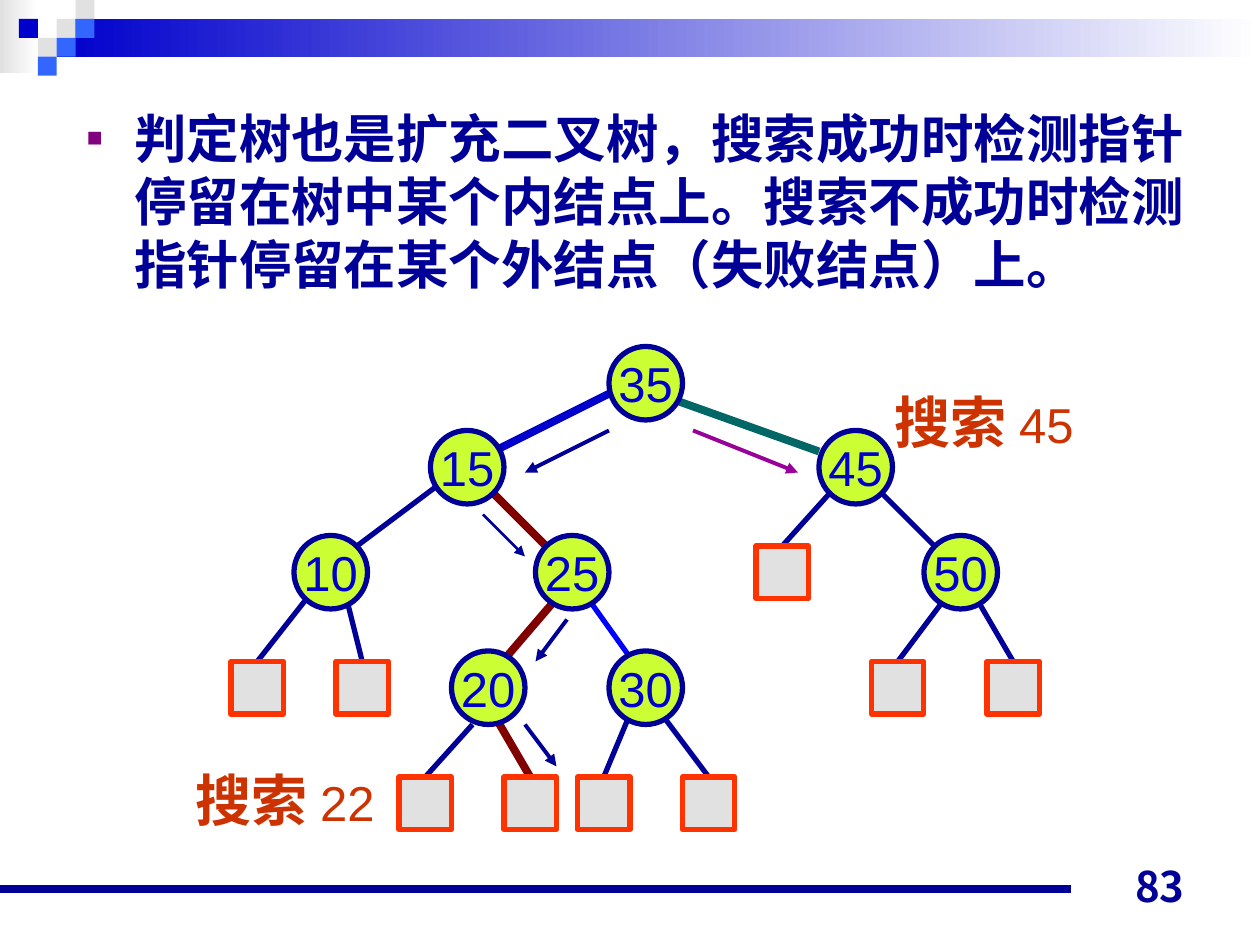
import pptx
import pptx.dml.color
import pptx.enum.shapes
import pptx.enum.text
import pptx.oxml
import pptx.oxml.ns
import pptx.util

Pt = pptx.util.Pt
Shape = pptx.enum.shapes.MSO_SHAPE
Align = pptx.enum.text.PP_ALIGN
Anchor = pptx.enum.text.MSO_ANCHOR
Size = pptx.enum.text.MSO_AUTO_SIZE
UNIT = 6
TILE = 10.8
NAVY, BLUE, GREY, RED = "000099", "0000CC", "E1E1E1", "800000"
BODY = {"size": Pt(30), "name": "Arial", "bold": True}
DIGIT = {"size": Pt(28), "name": "Arial", "bold": False}
WORD = {"size": Pt(32), "name": "Times New Roman", "bold": True}
PAGE = {"size": Pt(24), "name": "Noto Sans CJK JP", "bold": True}


def tint(code):
    return pptx.dml.color.RGBColor.from_string(code)


def node(tag, kids="", **attrs):
    pairs = "".join(f' {key}="{val}"' for key, val in attrs.items())
    space = pptx.oxml.ns.nsdecls("a")
    return pptx.oxml.parse_xml(f"<a:{tag} {space}{pairs}>{kids}</a:{tag}>")


class Sketch:
    """Draws styled elements on the current slide."""

    def __init__(self, slide):
        self.shapes = slide.shapes

    def block(self, kind, x, y, w, h, fill, line=None):
        shape = self.shapes.add_shape(kind, Pt(x), Pt(y), Pt(w), Pt(h))
        shape.shadow.inherit = False
        shape.fill.solid()
        shape.fill.fore_color.rgb = tint(fill)
        if line:
            shape.line.color.rgb = tint(line)
            shape.line.width = Pt(3)
        else:
            shape.line.fill.background()
        return shape

    def fade(self, x, y, w, h, left):
        fill = self.block(Shape.RECTANGLE, x, y, w, h, left).fill
        fill.gradient()
        fill.gradient_angle = 180
        for stop, code in zip(fill.gradient_stops, ("FFFFFF", left)):
            stop.color.rgb = tint(code)

    def line(self, start, end, color=NAVY, width=3, arrow=False):
        kind = pptx.enum.shapes.MSO_CONNECTOR.STRAIGHT
        line = self.shapes.add_connector(kind, *(Pt(v) for v in (*start, *end)))
        line.line.color.rgb = tint(color)
        line.line.width = Pt(width)
        props = line._element.spPr
        if arrow:
            props.find(pptx.oxml.ns.qn("a:ln")).append(node("tailEnd", type="triangle"))
        props.append(node("effectLst"))
        return line

    def label(self, frame, runs, color, align=Align.LEFT, **form):
        for key, val in form.items():
            setattr(frame, key, val)
        para = frame.paragraphs[0]
        para.alignment = align
        for text, look in runs:
            run = para.add_run()
            run.text = text
            run.font.color.rgb = tint(color)
            for key, val in look.items():
                setattr(run.font, key, val)
        return para

    def text(self, x, y, w, h, runs, color, **form):
        box = self.shapes.add_textbox(Pt(x), Pt(y), Pt(w), Pt(h))
        return self.label(box.text_frame, runs, color, **form)

    def bullet(self, para, color, gap):
        props = para._p.get_or_add_pPr()
        props.set("marL", str(Pt(gap)))
        props.set("indent", str(-Pt(gap)))
        props.append(node("buClr", f'<a:srgbClr val="{color}"/>'))
        props.append(node("buSzPct", val="50000"))
        props.append(node("buFont", typeface="Arial"))
        props.append(node("buChar", char="■"))

    def edge(self, x1, y1, x2, y2, *style, **head):
        ends = [(x1 * UNIT, y1 * UNIT), (x2 * UNIT, y2 * UNIT)]
        return self.line(*ends, *style, **head)

    def key(self, value, x, y):
        ball = self.block(Shape.OVAL, x * UNIT, y * UNIT, 42, 42, "CCFF33", NAVY)
        self.label(ball.text_frame, [(value, DIGIT)], BLUE, Align.CENTER,
                   word_wrap=False, vertical_anchor=Anchor.MIDDLE)

    def leaf(self, x, y, line):
        box = self.block(Shape.RECTANGLE, x * UNIT, y * UNIT, 30, 30, GREY, "FF3300")
        line.end_connect(box, 0)

    def query(self, value, x, y):
        self.text(x, y, 117.4, 46, [("搜索 ", WORD), (value, DIGIT)], "CC3300",
                  word_wrap=False, auto_size=Size.SHAPE_TO_FIT_TEXT)


TILES = [(3, 1, GREY), (4, 0, GREY), (4, 1, "3366FF"), (2, 2, GREY),
         (1, 1, BLUE), (3, 2, "3366FF"), (2, 3, "3366FF")]
EDGES = [(64, 38, 78, 43, "006666", 4.5), (84, 47, 89, 52),
         (59, 37, 47, 43, BLUE, 4.5), (56, 57, 61, 64, "0000FF"),
         (53, 57, 47, 64, RED, 4.5), (42, 46, 34, 52),
         (46, 46, 52, 52, RED, 4.5)]
LEAVES = [(30, 56, 22, 63), (33, 57, 32, 63), (45, 69, 38, 74),
          (47, 68, 48, 74, RED, 4.5), (60, 68, 55, 74), (63, 68, 65, 74),
          (79, 47, 72, 52), (90, 57, 83, 63), (93, 57, 94, 63)]
KEYS = [("35", 58, 33), ("15", 41, 41), ("45", 78, 41), ("50", 88, 51),
        ("25", 51, 51), ("10", 28, 51), ("20", 43, 62), ("30", 58, 62)]
STEPS = [(58, 41, 50, 45, NAVY, 2.25), (46, 49, 50, 53, NAVY, 1.5),
         (54, 59, 51, 63, NAVY, 2.25), (50, 69, 53, 73, NAVY, 2.25),
         (66, 41, 76, 45, "990099", 2.25)]
CLAIM = ("判定树也是扩充二叉树，搜索成功时检测指针停留在树中某个内结点上。"
         "搜索不成功时检测指针停留在某个外结点（失败结点）上。")


def main():
    deck = pptx.Presentation()
    deck.slide_width, deck.slide_height = Pt(720), Pt(540)
    art = Sketch(deck.slides.add_slide(deck.slide_layouts[6]))

    art.fade(0, 0, 22, 42, GREY)
    art.fade(32.4, TILE, 687.6, 21.6, BLUE)
    for col, row, color in TILES:
        art.block(Shape.RECTANGLE, col * TILE, row * TILE, TILE, TILE, color)
    art.line((0, 508), (612, 508), NAVY, 4.5)

    for edge in EDGES:
        art.edge(*edge)
    twigs = [art.edge(*leaf) for leaf in LEAVES]
    para = art.text(42.5, 57, 666, 125, [(CLAIM, BODY)], NAVY, word_wrap=True)
    art.bullet(para, "800080", 27)
    for key in KEYS:
        art.key(*key)
    for leaf, twig in zip(LEAVES, twigs):
        art.leaf(leaf[2], leaf[3], twig)
    for step in STEPS:
        art.edge(*step, arrow=True)
    art.query("22", 104.5, 434)
    art.query("45", 504, 218)
    art.text(516, 488, 168, 36, [("83", PAGE)], NAVY, align=Align.RIGHT,
             word_wrap=True, vertical_anchor=Anchor.BOTTOM)
    deck.save("out.pptx")


if __name__ == "__main__":
    main()
